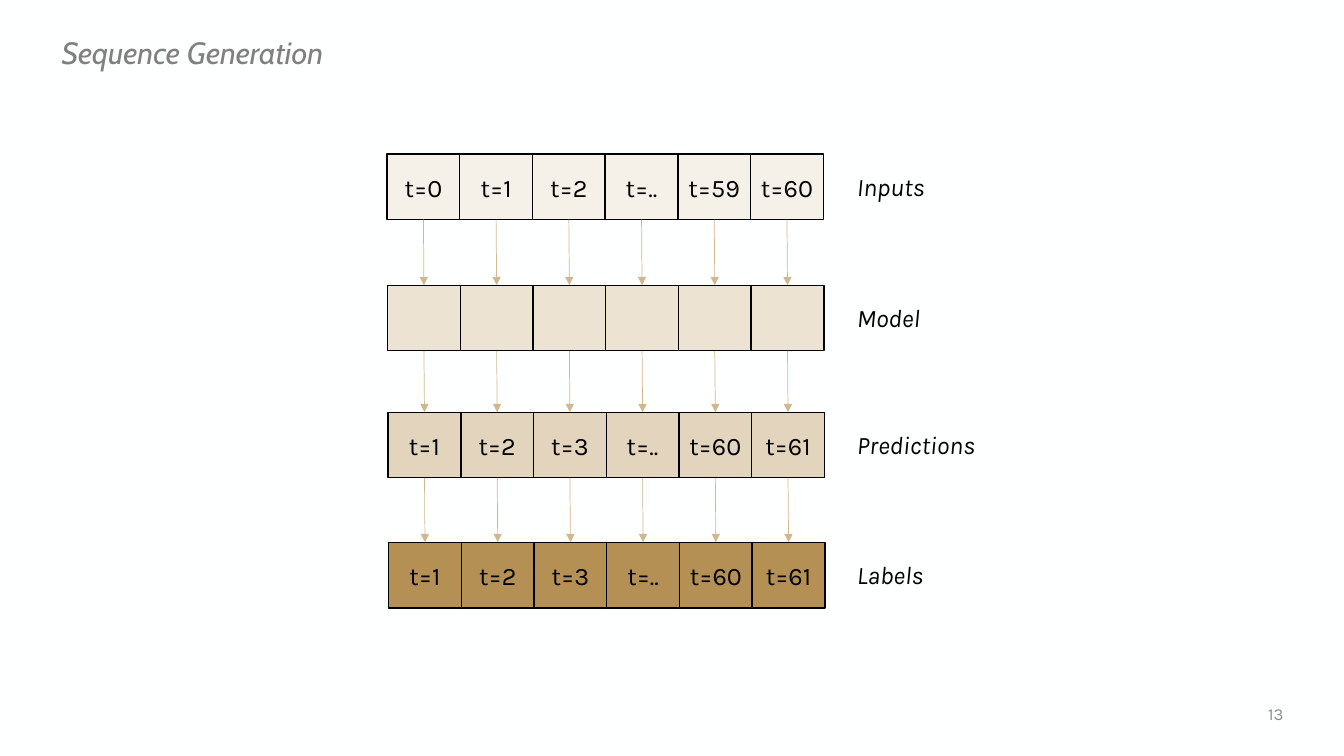
from dataclasses import dataclass

from lxml.etree import SubElement
from pptx import Presentation
from pptx.dml.color import RGBColor
from pptx.enum.shapes import MSO_CONNECTOR as Connector, MSO_SHAPE as Shape
from pptx.enum.text import MSO_ANCHOR as Anchor, MSO_AUTO_SIZE as AutoSize, PP_ALIGN as Align
from pptx.oxml.ns import qn
from pptx.util import Inches, Pt


@dataclass(frozen=True)
class Theme:
    background: str = "FEFFFF"
    title: str = "808080"
    number: str = "8C8C8C"
    ink: str = "000000"
    arrow: str = "CFB891"
    inputs: str = "F5F1E9"
    model: str = "ECE3D3"
    predictions: str = "E2D4BD"
    labels: str = "B49054"
    heading_font: str = "Cabin"
    body_font: str = "Karla"
    title_size: int = 22
    body_size: int = 18
    number_size: int = 12


class SlideBuilder:
    """Draws on one slide; every length is a percentage of the slide's size."""

    def __init__(self, deck, theme):
        self.theme = theme
        self.width, self.height = deck.slide_width, deck.slide_height
        self.page = deck.slides.add_slide(deck.slide_layouts[5])
        fill = self.page.background.fill
        fill.solid()
        fill.fore_color.rgb = RGBColor.from_string(theme.background)

    def x(self, share):
        return round(self.width * share / 100)

    def y(self, share):
        return round(self.height * share / 100)

    def frame(self, left, top, width, height):
        return self.x(left), self.y(top), self.x(width), self.y(height)

    def add_text(self, box, text, size, color, font=None, italic=False,
                 align=Align.LEFT, anchor=Anchor.MIDDLE):
        text_frame = box.text_frame
        text_frame.word_wrap = True
        text_frame.auto_size = AutoSize.NONE
        text_frame.vertical_anchor = anchor
        para = text_frame.paragraphs[0]
        para.alignment = align
        span = para.add_run()
        span.text = text
        span.font.name = font or self.theme.body_font
        span.font.size = Pt(size)
        span.font.italic = italic
        span.font.color.rgb = RGBColor.from_string(color)
        return text_frame

    def title(self, text, *place):
        box = self.page.shapes.title
        box.left, box.top, box.width, box.height = self.frame(*place)
        text_frame = self.add_text(box, text, self.theme.title_size, self.theme.title,
                                   self.theme.heading_font, italic=True)
        text_frame.paragraphs[0].line_spacing = 0.9

    def page_number(self, text, *place):
        box = self.page.shapes.add_textbox(*self.frame(*place))
        self.add_text(box, text, self.theme.number_size, self.theme.number, align=Align.RIGHT)

    def label(self, text, *place):
        box = self.page.shapes.add_textbox(*self.frame(*place))
        text_frame = self.add_text(box, text, self.theme.body_size, self.theme.ink,
                                   italic=True, anchor=Anchor.TOP)
        text_frame.auto_size = AutoSize.SHAPE_TO_FIT_TEXT

    def cell(self, text, color, *place):
        box = self.page.shapes.add_shape(Shape.ACTION_BUTTON_CUSTOM, *self.frame(*place))
        box.shadow.inherit = False
        box.fill.solid()
        box.fill.fore_color.rgb = RGBColor.from_string(color)
        box.line.color.rgb = RGBColor.from_string(self.theme.ink)
        box.line.width = Pt(1)
        if text:
            text_frame = self.add_text(box, text, self.theme.body_size, self.theme.ink,
                                       align=Align.CENTER)
            text_frame.margin_left = text_frame.margin_right = 0

    def arrow(self, start_x, start_y, end_x, end_y):
        arrow = self.page.shapes.add_connector(
            Connector.STRAIGHT, self.x(start_x), self.y(start_y), self.x(end_x), self.y(end_y))
        arrow.line.color.rgb = RGBColor.from_string(self.theme.arrow)
        arrow.line.width = Pt(0.5)
        properties = arrow.element.spPr
        SubElement(properties.find(qn("a:ln")), qn("a:tailEnd"), type="triangle")
        SubElement(properties, qn("a:effectLst"))


def main():
    deck = Presentation()
    deck.slide_width, deck.slide_height = Inches(13.33), Inches(7.5)
    theme = Theme()
    slide = SlideBuilder(deck, theme)
    slide.title("Sequence Generation", 3.83, 4.13, 92.42, 6.27)
    slide.page_number("13", 87.25, 91.73, 9, 5.33)

    cell_width, cell_height = 5.41, 8.67
    first_left, row_shift = 28.8, 0.04
    label_left, label_drop, label_height = 63.02, 1.6, 5.33
    steps = ["t=1", "t=2", "t=3", "t=..", "t=60", "t=61"]
    # name, fill, top, label width, cell texts
    rows = [
        ("Inputs", theme.inputs, 20.4, 8.03, ["t=0", "t=1", "t=2", "t=..", "t=59", "t=60"]),
        ("Model", theme.model, 37.73, 8.1, [""] * len(steps)),
        ("Predictions", theme.predictions, 54.53, 12.08, steps),
        ("Labels", theme.labels, 71.73, 8.4, steps),
    ]

    def cell_left(row, column):
        return first_left + row * row_shift + column * cell_width

    for row, (name, color, top, label_width, texts) in enumerate(rows):
        for column, text in enumerate(texts):
            slide.cell(text, color, cell_left(row, column), top, cell_width, cell_height)
        slide.label(name, label_left, top + label_drop, label_width, label_height)

    tops = [top for _, _, top, _, _ in rows]
    for row, (top, next_top) in enumerate(zip(tops, tops[1:])):
        for column in range(len(steps)):
            slide.arrow(cell_left(row, column + 0.5), top + cell_height,
                        cell_left(row + 1, column + 0.5), next_top)

    deck.save("out.pptx")


if __name__ == "__main__":
    main()
